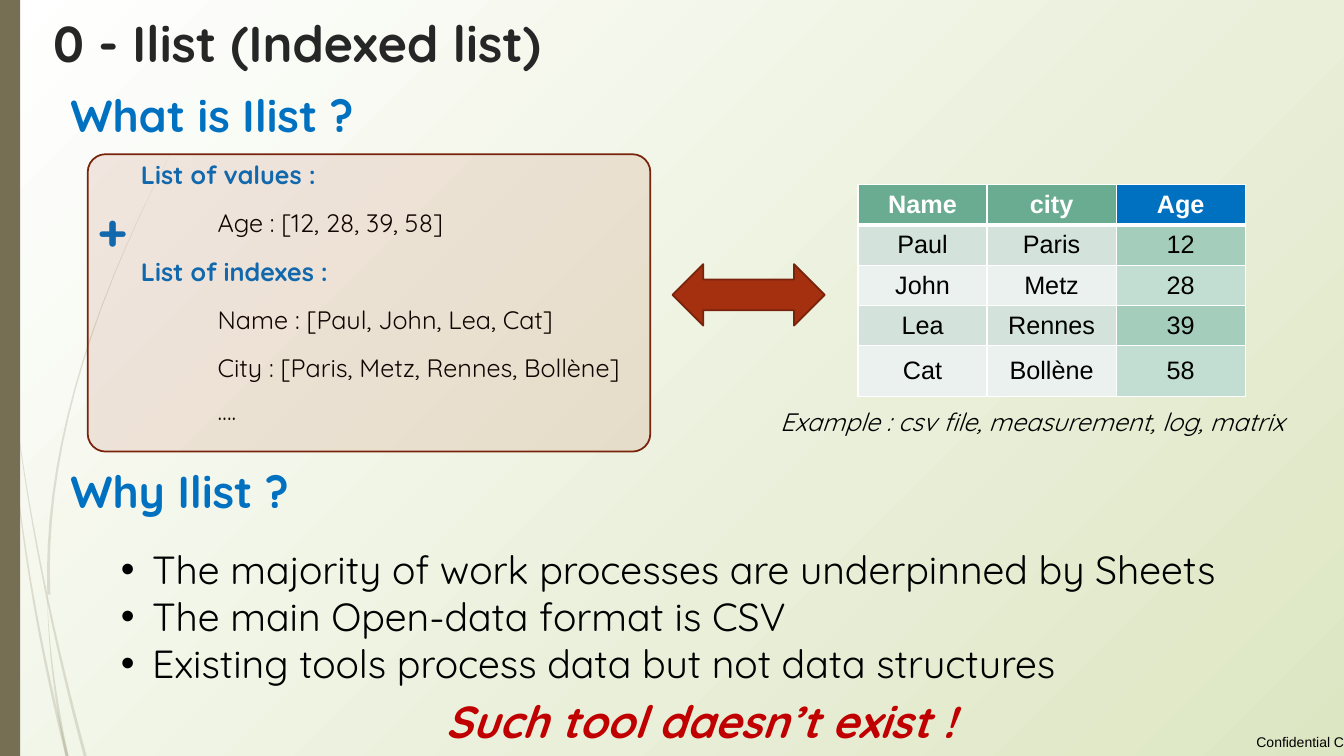
from lxml import etree
from pptx import Presentation
from pptx.dml.color import RGBColor
from pptx.enum import shapes, text
from pptx.oxml import ns
from pptx.util import Inches, Pt

BLACK, WHITE = RGBColor.from_string("000000"), RGBColor.from_string("FFFFFF")
PALE, INK = RGBColor.from_string("DDE6C3"), RGBColor.from_string("262626")
BLUE, RED = RGBColor.from_string("0070C0"), RGBColor.from_string("C00000")
OLIVE, GREEN = RGBColor.from_string("766F54"), RGBColor.from_string("6AAC91")
RUST, DARK_RUST = RGBColor.from_string("A53010"), RGBColor.from_string("78230B")
BANDS = [(RGBColor.from_string("D3E2DB"), RGBColor.from_string("A4CDBC")),
         (RGBColor.from_string("EAF1EE"), RGBColor.from_string("C2DDD2"))]

HEAD = dict(size=Pt(18), bold=True, color=BLUE)
BODY = dict(size=Pt(18), color=BLACK)
SECTION = dict(size=Pt(32), bold=True, color=BLUE)
BULLET = dict(size=Pt(28), color=BLACK)
TITLE = dict(size=Pt(36), bold=True, color=INK)
SMALL = dict(size=Pt(10), color=BLACK)

DEFINITION = [("List of values :", HEAD), ("Age : [12, 28, 39, 58]", BODY),
              ("List of indexes :", HEAD), ("Name : [Paul, John, Lea, Cat]", BODY),
              ("City : [Paris, Metz, Rennes, Bollène]", BODY), ("….", BODY)]
REASONS = ["The majority of work processes are underpinned by Sheets",
           "The main Open-data format is CSV",
           "Existing tools process data but not data structures"]
PEOPLE = [("Name", "city", "Age"), ("Paul", "Paris", "12"), ("John", "Metz", "28"),
          ("Lea", "Rennes", "39"), ("Cat", "Bollène", "58")]
ROW, LAST_ROW, COLUMN = 0.4, 0.5, 1.28
WISPS = [((0.08, 3.45), (0.27, 5.4), (0.83, 7.5)),
         ((0.06, 3.5), (0.15, 5.5), (0.65, 7.5)),
         ((1.69, 1.53), (0.4, 3.98), (0.47, 5.9)),
         ((0.47, 5.9), (0.47, 6.6), (0.65, 7.5))]
WISP_WIDTH, WISP_STEPS = 0.03, 16

prs = Presentation()
prs.slide_width, prs.slide_height = Inches(13.33), Inches(7.5)
s = prs.slides.add_slide(prs.slide_layouts[6])


def sub(parent, tag, **attrs):
    el = etree.SubElement(parent, ns.qn(tag))
    for key, value in attrs.items():
        el.set(key, str(value))
    return el


def write(p, words, fmt, name="Quicksand"):
    r = p.add_run()
    r.text = words
    r.font.name = name
    for key, value in fmt.items():
        if key == "color":
            r.font.color.rgb = value
        else:
            setattr(r.font, key, value)


def label(words, x, y, w, h, fmt, name="Quicksand"):
    tf = s.shapes.add_textbox(*map(Inches, (x, y, w, h))).text_frame
    tf.word_wrap = True
    write(tf.paragraphs[0], words, fmt, name)
    return tf


def paint(sp, fill, line=None, opacity=None):
    sp.shadow.inherit = False
    sp.fill.solid()
    sp.fill.fore_color.rgb = fill
    if opacity:
        color = sp._element.spPr.find(ns.qn("a:solidFill"))[0]
        sub(color, "a:alpha", val=opacity * 1000)
    if line:
        sp.line.color.rgb, sp.line.width = line, Pt(1.25)
    else:
        sp.line.fill.background()


def preset(kind, x, y, w, h, *look):
    sp = s.shapes.add_shape(kind, *map(Inches, (x, y, w, h)))
    paint(sp, *look)
    return sp


def wisp(start, bend, end):
    left, right = [], []
    for i in range(WISP_STEPS + 1):
        t = i / WISP_STEPS
        x, y = ((1 - t) ** 2 * a + 2 * t * (1 - t) * b + t * t * c
                for a, b, c in zip(start, bend, end))
        left.append((Inches(x), Inches(y)))
        right.append((Inches(x + WISP_WIDTH * t), Inches(y)))
    fb = s.shapes.build_freeform(*left[0])
    fb.add_line_segments(left[1:] + right[::-1], close=True)
    paint(fb.convert_to_shape(), OLIVE, None, 20)


bg = s.background.fill
bg.gradient()
for stop, color in zip(bg.gradient_stops, (WHITE, PALE)):
    stop.color.rgb = color
grad = next(s.element.iter(ns.qn("a:gradFill")))
grad.remove(grad.find(ns.qn("a:lin")))
sub(sub(grad, "a:path", path="circle"), "a:fillToRect", r=100000, b=100000)

for points in WISPS:
    wisp(*points)
preset(shapes.MSO_SHAPE.RECTANGLE, 0, 0, 0.2, 7.5, OLIVE)

tf = label("Confidential C", 12.15, 7.23, 1.18, 0.27, SMALL, "Arial")
for side in ("left", "right", "top", "bottom"):
    setattr(tf, "margin_" + side, 0)
tf.vertical_anchor = text.MSO_ANCHOR.MIDDLE
tf.paragraphs[0].alignment = text.PP_ALIGN.RIGHT

label("0 - Ilist (Indexed list)", 0.43, 0.07, 5.37, 0.75, TITLE)
for i, (words, fmt) in enumerate(DEFINITION):
    y = 3.87 if words == "…." else 1.53 + 0.48 * i
    label(words, 1.3 if fmt is HEAD else 2.06, y, 4.39, 0.4, fmt)
preset(shapes.MSO_SHAPE.LEFT_RIGHT_ARROW, 6.67, 2.62, 1.51, 0.61, RUST, DARK_RUST)

height = ROW * (len(PEOPLE) - 1) + LAST_ROW
table = s.shapes.add_table(len(PEOPLE), 3, Inches(8.51), Inches(1.83),
                           Inches(3 * COLUMN), Inches(height)).table
for col in table.columns:
    col.width = Inches(COLUMN)
for i, row in enumerate(PEOPLE):
    table.rows[i].height = Inches(LAST_ROW if i == len(PEOPLE) - 1 else ROW)
    plain, accent = BANDS[(i - 1) % 2] if i else (GREEN, BLUE)
    for j, words in enumerate(row):
        cell = table.cell(i, j)
        cell.vertical_anchor = text.MSO_ANCHOR.MIDDLE
        p = cell.text_frame.paragraphs[0]
        p.alignment = text.PP_ALIGN.CENTER
        write(p, words, dict(size=Pt(18), bold=i == 0, color=BLACK if i else WHITE), "Arial")
        tcPr = cell._tc.get_or_add_tcPr()
        for side in "LRTB":
            thick = (side, i) in (("B", 0), ("T", 1))
            ln = sub(tcPr, "a:ln" + side, w=int(Pt(3 if thick else 1)))
            sub(sub(ln, "a:solidFill"), "a:srgbClr", val=WHITE)
        cell.fill.solid()
        cell.fill.fore_color.rgb = accent if j == 2 else plain

label("+", 0.87, 1.93, 0.43, 0.71, dict(TITLE, color=BLUE))
label("Example : csv file, measurement, log, matrix", 7.64, 3.98, 5.58, 0.4,
      dict(BODY, italic=True))
box = preset(shapes.MSO_SHAPE.ROUNDED_RECTANGLE, 0.87, 1.53, 5.58, 2.95, RUST, DARK_RUST, 11)
box.adjustments[0] = 0.06

label("What is Ilist ?", 0.6, 0.82, 6.61, 0.64, SECTION)
tf = label("Why Ilist ?", 0.6, 4.55, 12.73, 2.32, SECTION)
for i, reason in enumerate(REASONS):
    p = tf.add_paragraph()
    p.space_before = Pt(0 if i else 20)
    pPr = p._p.get_or_add_pPr()
    pPr.set("marL", str(int(Inches(0.81))))
    pPr.set("indent", str(int(Inches(-0.31))))
    sub(sub(pPr, "a:buClr"), "a:srgbClr", val=BLACK)
    sub(pPr, "a:buFont", typeface="Arial")
    sub(pPr, "a:buChar", char="•")
    write(p, reason, BULLET)
label("Such tool daesn’t exist !", 4.32, 6.83, 6.07, 0.64,
      dict(SECTION, italic=True, color=RED))

prs.save("out.pptx")
